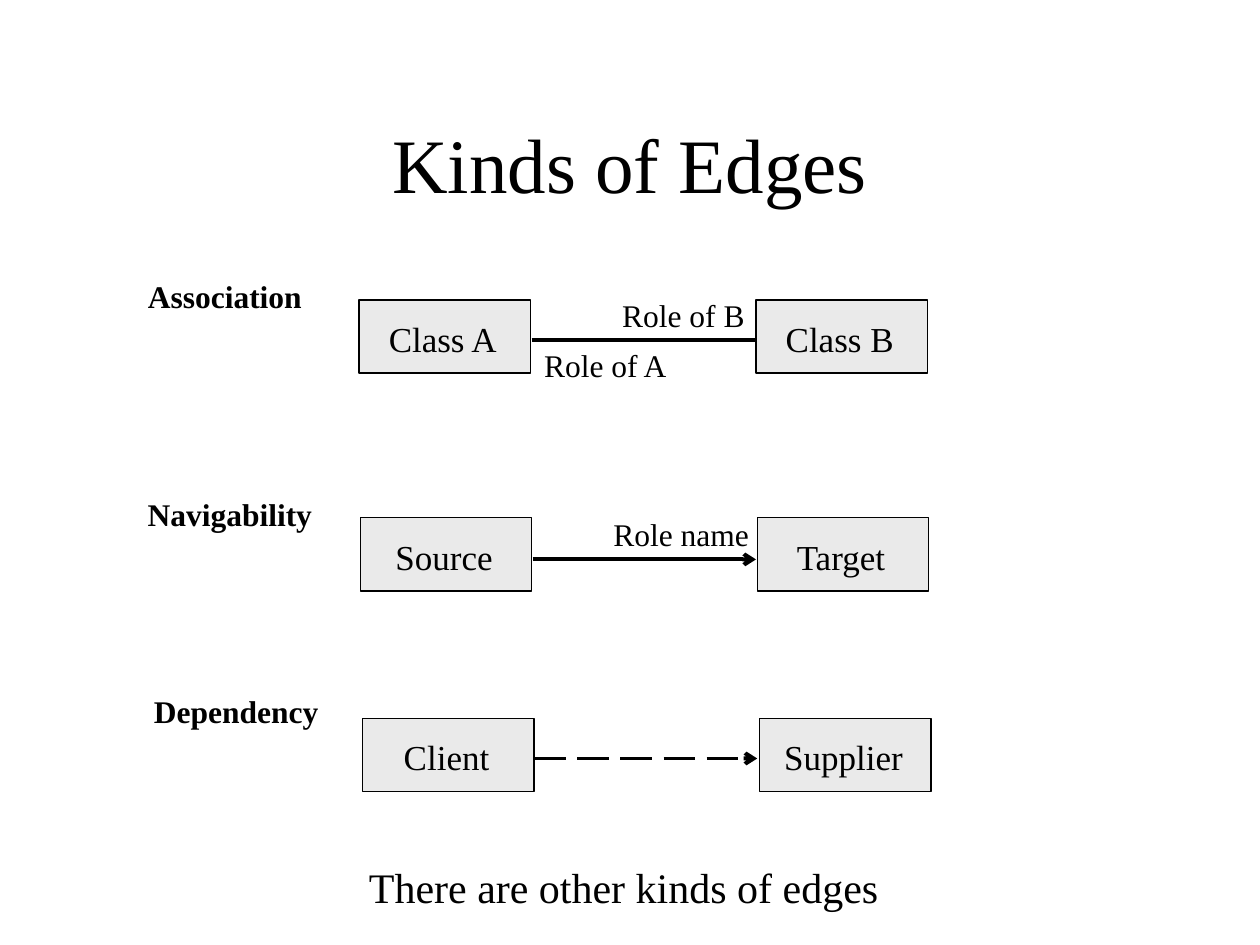
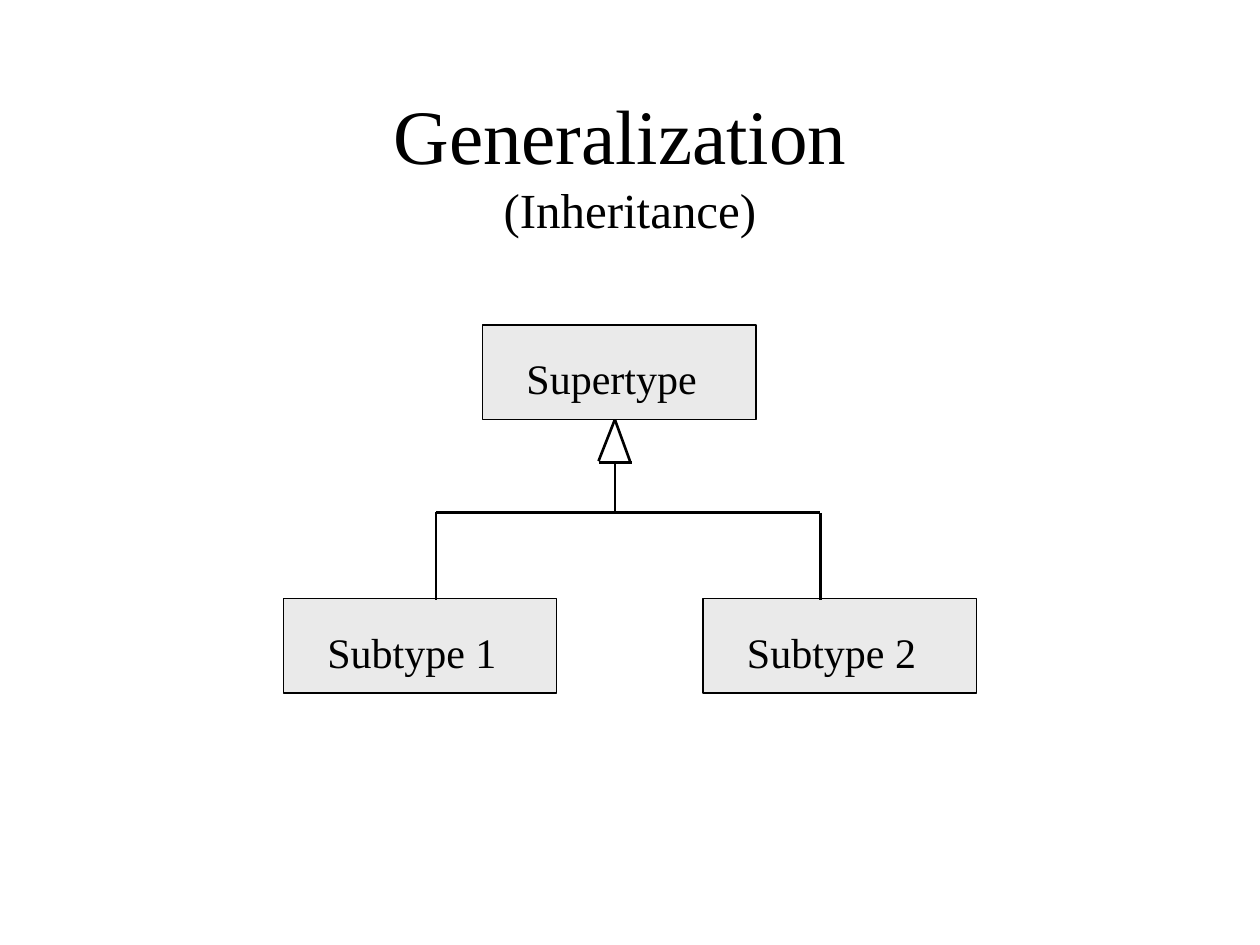
import lxml.etree
import pptx
import pptx.dml.color
import pptx.enum.dml
import pptx.enum.shapes
import pptx.enum.text
import pptx.oxml.ns
import pptx.util

PX = 9144  # 100 px to the inch
BLACK = pptx.dml.color.RGBColor(0x00, 0x00, 0x00)
LIGHT_GRAY = pptx.dml.color.RGBColor(0xEA, 0xEA, 0xEA)
WHITE = pptx.dml.color.RGBColor(0xFF, 0xFF, 0xFF)
FONT = "Times New Roman"
SPACE_BEFORE = 62500  # thousandths of a percent of the line
LEFT = pptx.enum.text.PP_ALIGN.LEFT
CENTER = pptx.enum.text.PP_ALIGN.CENTER
LONG_DASH = pptx.enum.dml.MSO_LINE.LONG_DASH
qn = pptx.oxml.ns.qn


def write_text(paragraph, text, size=18, bold=False, alignment=LEFT, spaced=False):
    """Append a formatted run to the paragraph."""
    run = paragraph.add_run()
    run.text = text
    run.font.name = FONT
    run.font.size = pptx.util.Pt(size)
    run.font.bold = bold
    run.font.color.rgb = BLACK
    paragraph.alignment = alignment
    if spaced:
        spacing = lxml.etree.SubElement(paragraph._p.get_or_add_pPr(), qn("a:spcBef"))
        lxml.etree.SubElement(spacing, qn("a:spcPct"), val=str(SPACE_BEFORE))


def add_label(slide, text, left, top, width, height, **text_format):
    label = slide.shapes.add_textbox(left * PX, top * PX, width * PX, height * PX)
    label.text_frame.word_wrap = True
    label.text_frame.auto_size = pptx.enum.text.MSO_AUTO_SIZE.SHAPE_TO_FIT_TEXT
    write_text(label.text_frame.paragraphs[0], text, spaced=True, **text_format)


presentation = pptx.Presentation()
presentation.slide_width = 1000 * PX
presentation.slide_height = 750 * PX

# Slides and titles
slides = []
for title_lines in (
    [("Kinds of Edges", 44)],
    [("Generalization ", 44), ("(Inheritance)", 28)],
):
    slide = presentation.slides.add_slide(presentation.slide_layouts[5])
    slide.background.fill.solid()
    slide.background.fill.fore_color.rgb = WHITE
    title = slide.shapes.title
    title.left, title.top, title.width, title.height = 75 * PX, 67 * PX, 850 * PX, 125 * PX
    title.text_frame.auto_size = pptx.enum.text.MSO_AUTO_SIZE.NONE
    title.text_frame.vertical_anchor = pptx.enum.text.MSO_ANCHOR.MIDDLE
    paragraph = title.text_frame.paragraphs[0]
    for index, (text, size) in enumerate(title_lines):
        if index:
            paragraph.add_line_break()
        write_text(paragraph, text, size=size, alignment=CENTER)
    slides.append(slide)
edges_slide, generalization_slide = slides

# Class boxes: each row of edges joins two boxes 315 px apart
class_boxes = []
for left, top, first_name, second_name in (
    (285, 238, "Class A", "Class B"),
    (286, 411, "Source", "Target"),
    (288, 570, "Client", "Supplier"),
):
    class_boxes.append((edges_slide, first_name, left, top))
    class_boxes.append((edges_slide, second_name, left + 315, top))
class_boxes += [
    (generalization_slide, "Supertype", 383, 258),
    (generalization_slide, "Subtype 1", 225, 475),
    (generalization_slide, "Subtype 2", 558, 475),
]
for slide, name, left, top in class_boxes:
    width, height = (136, 58) if slide is edges_slide else (217, 75)
    box = slide.shapes.add_shape(
        pptx.enum.shapes.MSO_SHAPE.RECTANGLE, left * PX, top * PX, width * PX, height * PX
    )
    box.shadow.inherit = False
    box.fill.solid()
    box.fill.fore_color.rgb = LIGHT_GRAY
    box.line.color.rgb = BLACK
    box.line.width = pptx.util.Pt(0.75)
    if slide is edges_slide:
        add_label(slide, name, left, top + 9, 133, 44, size=20, alignment=CENTER)
    else:
        add_label(slide, name, left + 25, top + 17, 158, 50, size=24)

# Lines: slide, start, end, width, dash, arrow
lines = [
    (edges_slide, (422, 270), (599, 270), 2.25, None, False),
    (edges_slide, (423, 444), (600, 444), 2.25, None, True),
    (edges_slide, (424, 602), (601, 602), 2.25, LONG_DASH, True),
]
for start, end in (
    ((475, 367), (502, 367)),
    ((475, 366), (488, 333)),
    ((500, 366), (488, 333)),
    ((488, 366), (488, 407)),
    ((346, 407), (651, 407)),
    ((346, 406), (346, 476)),
    ((651, 407), (651, 476)),
):
    lines.append((generalization_slide, start, end, 1.5, None, False))
for slide, start, end, width, dash, arrow in lines:
    connector = slide.shapes.add_connector(
        pptx.enum.shapes.MSO_CONNECTOR.STRAIGHT,
        start[0] * PX, start[1] * PX, end[0] * PX, end[1] * PX,
    )
    connector.line.color.rgb = BLACK
    connector.line.width = pptx.util.Pt(width)
    if dash:
        connector.line.dash_style = dash
    if arrow:
        lxml.etree.SubElement(connector.line._get_or_add_ln(), qn("a:tailEnd"), type="arrow")
    lxml.etree.SubElement(connector._element.spPr, qn("a:effectLst"))

# Edge kinds, roles and closing remark
for kind, left, top in (
    ("Association", 102, 215),
    ("Navigability", 106, 388),
    ("Dependency", 111, 544),
):
    add_label(edges_slide, kind, left, top, 153, 40, bold=True, alignment=CENTER)
for role, left, top, width in (
    ("Role of A", 422, 270, 120),
    ("Role of B", 484, 230, 120),
    ("Role name", 477, 404, 128),
):
    add_label(edges_slide, role, left, top, width, 40)
add_label(edges_slide, "There are other kinds of edges", 283, 679, 482, 50, size=24)

presentation.save("out.pptx")
